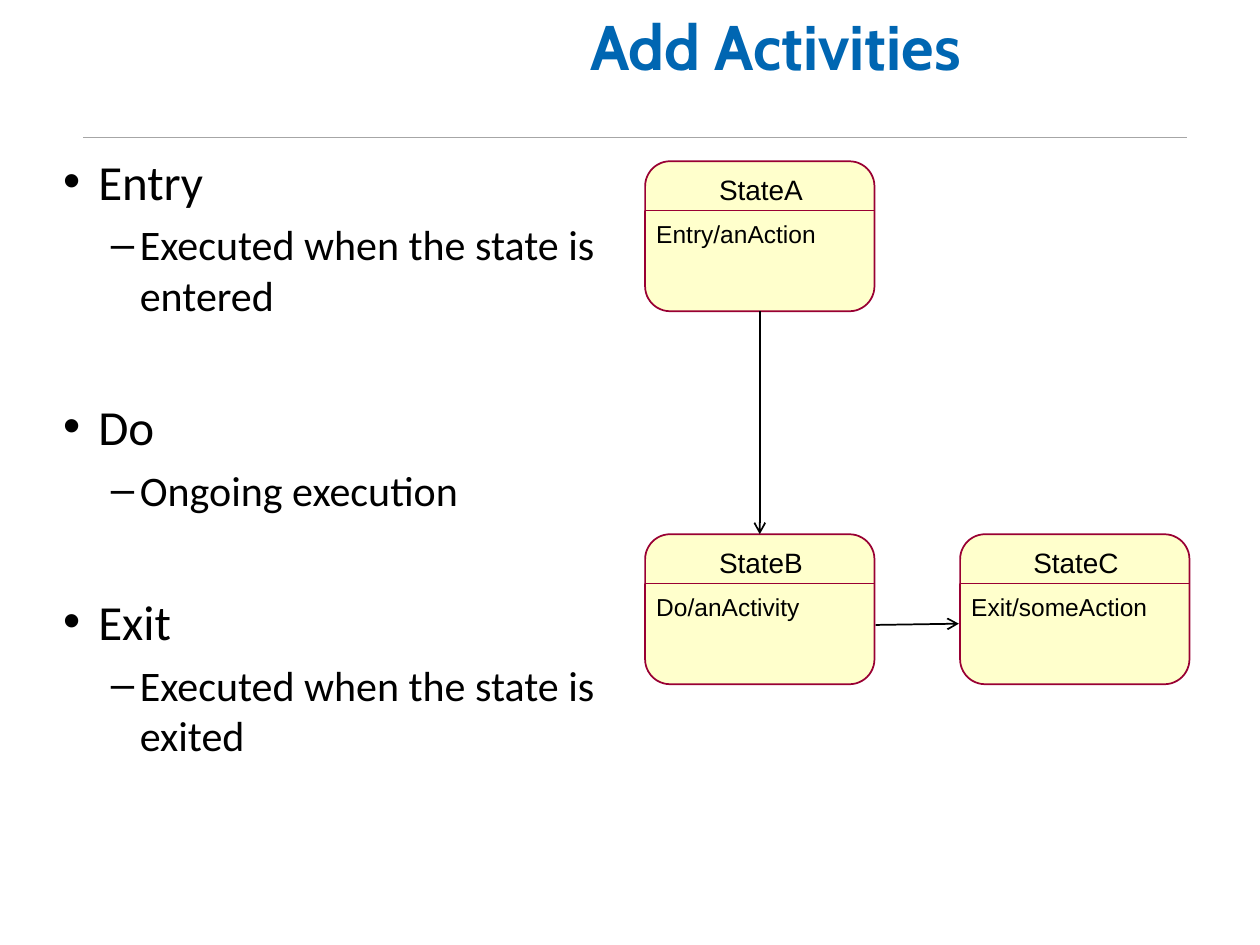
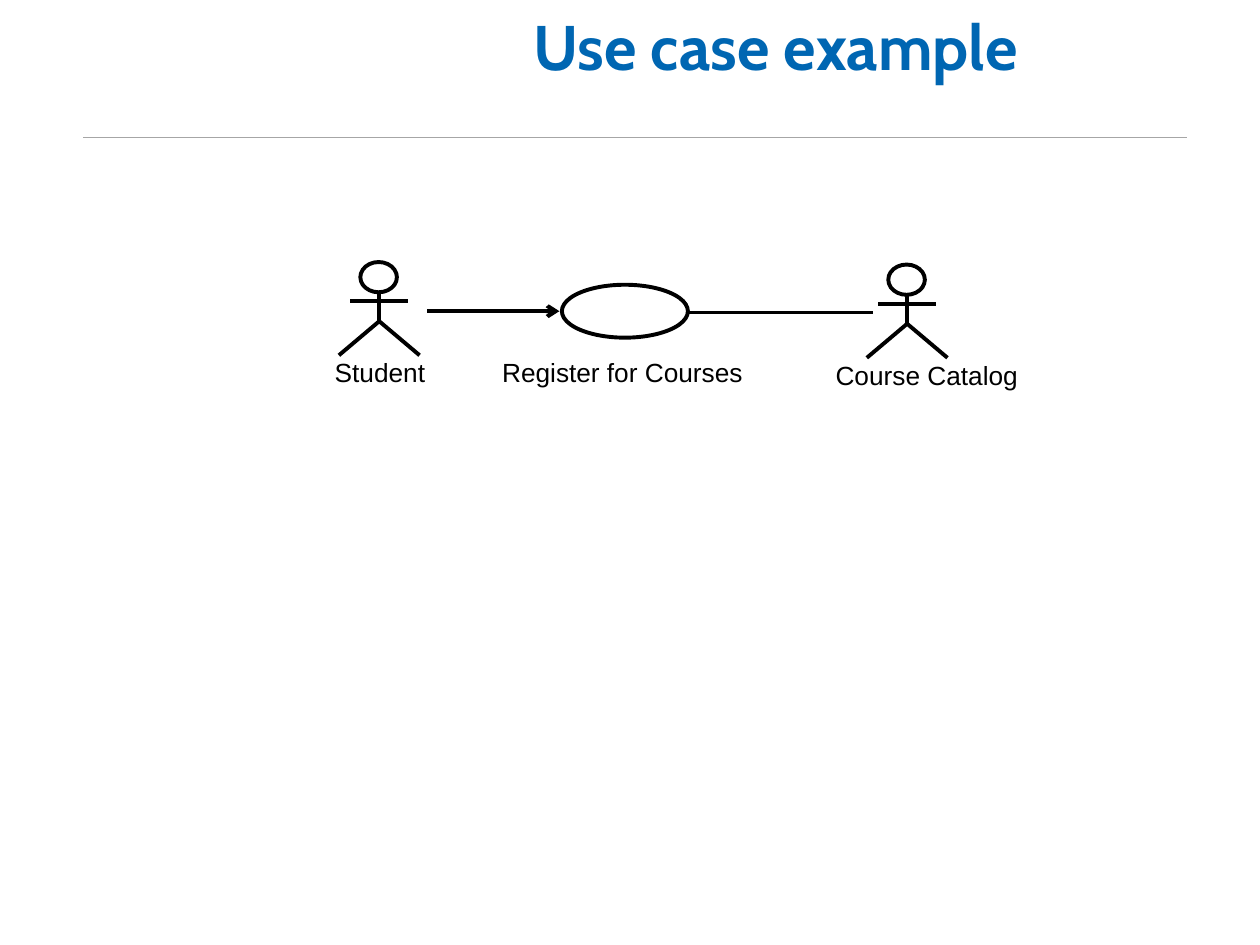
from lxml import etree
from pptx import Presentation
from pptx.dml.color import RGBColor
from pptx.enum import shapes, text
from pptx.oxml.ns import qn
from pptx.util import Inches, Pt

BLACK = RGBColor(0x00, 0x00, 0x00)
BLUE = RGBColor(0x00, 0x66, 0xB2)
GRAY = RGBColor(0xA6, 0xA6, 0xA6)
CREAM = RGBColor(0xFF, 0xFF, 0xCC)
MAROON = RGBColor(0x99, 0x00, 0x33)

TITLE_AND_BODY, TITLE_ONLY = 1, 5
STATE_W, STATE_H, STATE_HEAD = 1.82, 1.19, 0.38


class Deck:
    def __init__(self):
        self.prs = Presentation()
        self.prs.slide_width, self.prs.slide_height = Inches(10), Inches(7.5)
        self.s = None

    def slide(self, layout, title):
        self.s = self.prs.slides.add_slide(self.prs.slide_layouts[layout])
        self.line((0.66, 1.09), (9.42, 1.09), GRAY, 0.75)
        sp = self.s.shapes.title
        self.place(sp, 2.43, 0.01, 7.45, 1.15)
        tf = sp.text_frame
        tf.text = title
        tf.vertical_anchor = text.MSO_ANCHOR.TOP
        tf.auto_size = text.MSO_AUTO_SIZE.NONE
        p = tf.paragraphs[0]
        p.alignment = text.PP_ALIGN.CENTER
        self.font(p, "Cabin", 36, BLUE, True)

    def place(self, sp, x, y, w, h):
        sp.left, sp.top, sp.width, sp.height = map(Inches, (x, y, w, h))

    def font(self, p, name, size, color=BLACK, bold=False):
        for r in p.runs:
            r.font.name, r.font.size, r.font.bold = name, Pt(size), bold
            r.font.color.rgb = color

    def bullets(self, topics):
        sp = self.s.placeholders[1]
        self.place(sp, 0.4, 1.15, 4.57, 5.52)
        tf = sp.text_frame
        tf.text = "\n".join(line for topic in topics for line in topic)
        tf.auto_size = text.MSO_AUTO_SIZE.NONE
        for i, p in enumerate(tf.paragraphs):
            p.level = i % 2
            size, margin, hang = ((28, 0.28, 0.28), (24, 0.61, 0.23))[p.level]
            p.space_before = Pt(0 if i == 0 else 5 if p.level else 44)
            pPr = p._p.get_or_add_pPr()
            pPr.set("marL", str(Inches(margin)))
            pPr.set("indent", str(-Inches(hang)))
            self.font(p, "Calibri", size)

    def line(self, start, end, color=BLACK, width=1, arrow=False, into=None):
        cn = (into or self.s).shapes.add_connector(
            shapes.MSO_CONNECTOR.STRAIGHT, *map(Inches, start + end))
        cn.line.color.rgb, cn.line.width = color, Pt(width)
        spPr = cn._element.spPr
        if arrow:
            etree.SubElement(spPr.find(qn("a:ln")), qn("a:tailEnd"), type="arrow")
        etree.SubElement(spPr, qn("a:effectLst"))
        return cn

    def outline(self, sp, color=BLACK, width=2.25, fill=None):
        sp.shadow.inherit = False
        sp.line.color.rgb, sp.line.width = color, Pt(width)
        if fill is None:
            sp.fill.background()
        else:
            sp.fill.solid()
            sp.fill.fore_color.rgb = fill

    def shape(self, kind, x, y, w, h, into=None, **style):
        sp = (into or self.s).shapes.add_shape(kind, *map(Inches, (x, y, w, h)))
        self.outline(sp, **style)
        return sp

    def label(self, words, x, y, w, h, size, centred=True, into=None):
        sp = (into or self.s).shapes.add_textbox(*map(Inches, (x, y, w, h)))
        tf = sp.text_frame
        tf.text = words
        tf.word_wrap = True
        p = tf.paragraphs[0]
        p.alignment = text.PP_ALIGN.CENTER if centred else text.PP_ALIGN.LEFT
        self.font(p, "Arial", size)

    def state(self, name, action, x, y):
        sp = self.shape(shapes.MSO_SHAPE.ROUNDED_RECTANGLE, x, y, STATE_W, STATE_H,
                        color=MAROON, width=1, fill=CREAM)
        self.label(name, x + 0.24, y + 0.04, 1.36, 0.37, 16)
        self.label(action, x - 0.01, y + 0.41, STATE_W, 0.33, 14, centred=False)
        divider = y + STATE_HEAD + 0.01
        self.line((x, divider), (x + STATE_W, divider), MAROON)
        return sp

    def actor(self, name, x, y, label_x):
        g = self.s.shapes.add_group_shape()
        hip, foot = y + 0.47, y + 0.74
        self.shape(shapes.MSO_SHAPE.OVAL, x - 0.15, y, 0.29, 0.24, into=g)
        self.line((x, y + 0.24), (x, hip), width=2.25, into=g)
        self.line((x - 0.23, y + 0.31), (x + 0.23, y + 0.31), width=2.25, into=g)
        fb = g.shapes.build_freeform(Inches(x - 0.32), Inches(foot))
        fb.add_line_segments([(Inches(x), Inches(hip)),
                              (Inches(x + 0.32), Inches(foot))], close=False)
        self.outline(fb.convert_to_shape())
        self.label(name, label_x, y + 0.7, 2.69, 0.35, 15, into=g)

    def use_case(self, name, x, y):
        g = self.s.shapes.add_group_shape()
        self.shape(shapes.MSO_SHAPE.OVAL, x, y, 1, 0.42, into=g)
        self.label(name, x - 0.77, y + 0.52, 2.5, 0.35, 15, into=g)


def main():
    deck = Deck()

    deck.slide(TITLE_AND_BODY, "Add Activities")
    deck.bullets([("Entry", "Executed when the state is entered"),
                  ("Do", "Ongoing execution"),
                  ("Exit", "Executed when the state is exited")])
    state_a = deck.state("StateA", "Entry/anAction", 5.12, 1.28)
    state_b = deck.state("StateB", "Do/anActivity", 5.12, 4.24)
    deck.state("StateC", "Exit/someAction", 7.62, 4.24)
    a_to_b = deck.line((6.03, 2.47), (6.03, 4.24), arrow=True)
    a_to_b.begin_connect(state_a, 2)
    a_to_b.end_connect(state_b, 0)
    deck.line((6.95, 4.96), (7.61, 4.95), arrow=True)

    deck.slide(TITLE_ONLY, "Use case example")
    deck.actor("Student", 3.01, 2.08, 1.67)
    deck.actor("Course Catalog", 7.2, 2.1, 6.01)
    deck.use_case("Register for Courses", 4.46, 2.26)
    deck.line((3.39, 2.47), (4.44, 2.47), width=2.25, arrow=True)
    deck.line((5.46, 2.48), (6.93, 2.48), width=2.25)

    deck.prs.save("out.pptx")


if __name__ == "__main__":
    main()
